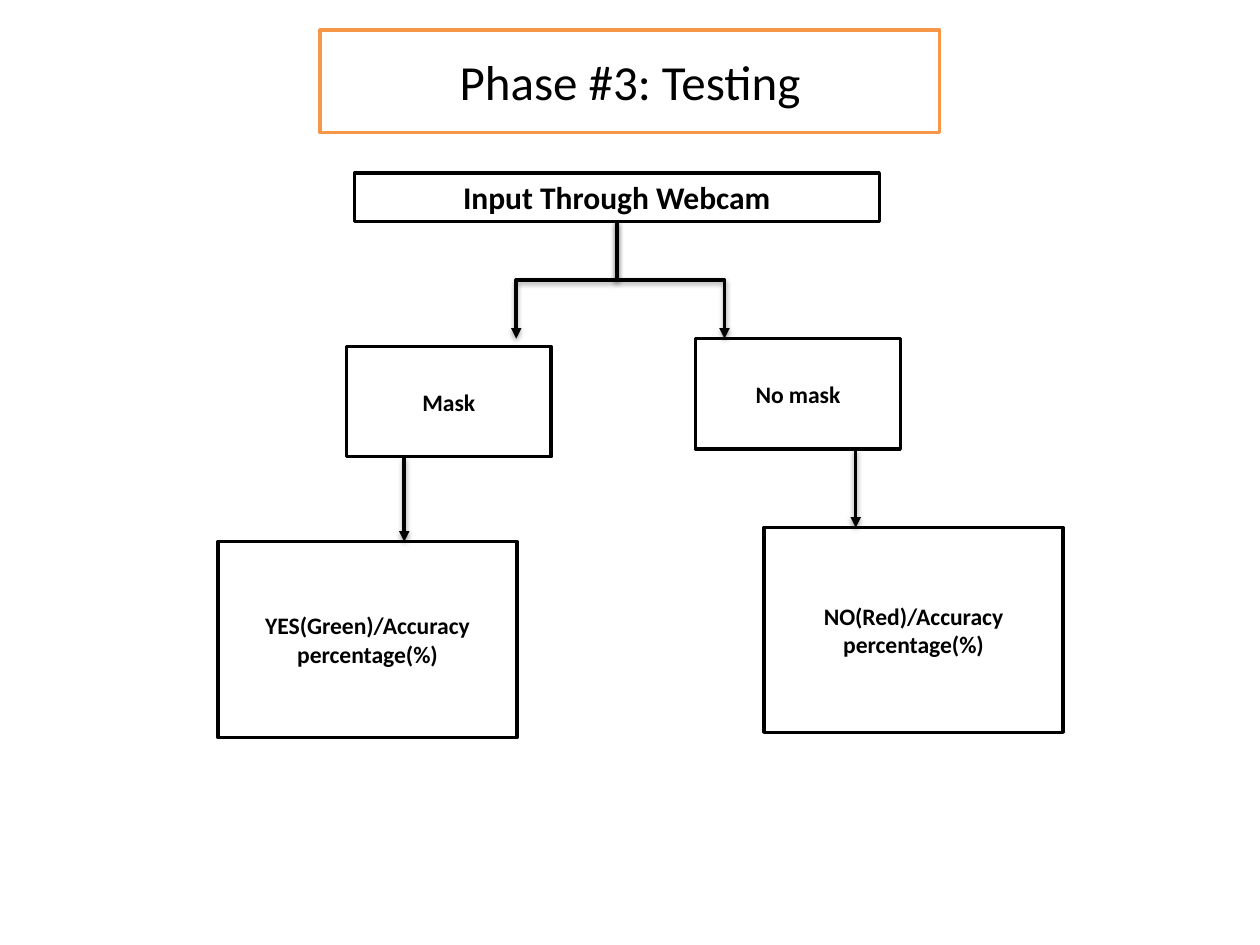
from pptx import Presentation
from pptx.dml.color import RGBColor
from pptx.enum import shapes, text
from pptx.oxml import parse_xml
from pptx.oxml.ns import nsdecls
from pptx.util import Pt

BLACK = RGBColor(0x00, 0x00, 0x00)
WHITE = RGBColor(0xFF, 0xFF, 0xFF)
ORANGE = RGBColor(0xF7, 0x96, 0x46)
FONT = "Calibri"
LINE_WIDTH = 2

TITLE = ("Phase #3: Testing", (183, 17.25, 354, 58.5))
# text, (left, top, width, height), font size, anchor
BOXES = [
    ("Input Through Webcam", (202.5, 99, 300, 27.5), 18, text.MSO_ANCHOR.TOP),
    ("Mask", (198, 198, 117, 63), 13.5, text.MSO_ANCHOR.MIDDLE),
    ("No mask", (397.5, 193.5, 117, 63), 13.5, text.MSO_ANCHOR.MIDDLE),
    ("YES(Green)/Accuracy percentage(%)", (124.5, 309.5, 171, 112), 13.5,
     text.MSO_ANCHOR.MIDDLE),
    ("NO(Red)/Accuracy percentage(%)", (436.5, 301.5, 171, 117), 13.5,
     text.MSO_ANCHOR.MIDDLE),
]
BOX_MARGINS = {"margin_left": 5.25, "margin_right": 5.25,
               "margin_top": 2.75, "margin_bottom": 2.75}
BRANCHES = [((352.5, 126.5), (295, 193.5)), ((352.5, 126.5), (414, 193.5))]
DROPS = [((231, 261), (231, 309.5)), ((489, 256.5), (489, 301.5))]


def place(sp, box):
    for name, value in zip(("left", "top", "width", "height"), box):
        setattr(sp, name, Pt(value))


def write(sp, words, line_color, size, bold, anchor):
    """Fill and outline a shape, then set its centred text."""
    sp.fill.solid()
    sp.fill.fore_color.rgb = WHITE
    sp.line.color.rgb = line_color
    sp.line.width = Pt(LINE_WIDTH)
    tf = sp.text_frame
    tf.word_wrap = True
    tf.auto_size = text.MSO_AUTO_SIZE.NONE
    tf.vertical_anchor = anchor
    p = tf.paragraphs[0]
    p.alignment = text.PP_ALIGN.CENTER
    r = p.add_run()
    r.text = words
    for name, value in {"name": FONT, "size": Pt(size), "bold": bold}.items():
        setattr(r.font, name, value)
    r.font.color.rgb = BLACK


def add_arrow(s, kind, start, end):
    """Add an arrow that keeps the soft shadow of the theme."""
    arrow = s.shapes.add_connector(kind, *map(Pt, start + end))
    arrow.line.color.rgb = BLACK
    arrow.line.width = Pt(LINE_WIDTH)
    arrow.line._get_or_add_ln().append(
        parse_xml(f'<a:tailEnd {nsdecls("a")} type="triangle"/>'))
    return arrow


def add_branch(s, start, end):
    """Add an elbow arrow that leaves and arrives vertically."""
    arrow = add_arrow(s, shapes.MSO_CONNECTOR.ELBOW, start, end)
    (x1, y1), (x2, y2) = start, end
    run, drop = abs(x2 - x1), y2 - y1
    # The frame is turned a quarter about its centre, so its sides swap.
    place(arrow, ((x1 + x2 - drop) / 2, (y1 + y2 - run) / 2, drop, run))
    xfrm = arrow._element.spPr.xfrm
    xfrm.flipH = x2 > x1
    xfrm.set("rot", str((270 if x2 > x1 else 90) * 60000))


def main():
    prs = Presentation()
    prs.slide_width, prs.slide_height = Pt(720), Pt(540)
    s = prs.slides.add_slide(prs.slide_layouts[5])

    words, box = TITLE
    place(s.shapes.title, box)
    write(s.shapes.title, words, ORANGE, 28, False, text.MSO_ANCHOR.MIDDLE)

    for words, box, size, anchor in BOXES:
        sp = s.shapes.add_shape(shapes.MSO_SHAPE.RECTANGLE, *map(Pt, box))
        sp.shadow.inherit = False
        write(sp, words, BLACK, size, True, anchor)
        for name, value in BOX_MARGINS.items():
            setattr(sp.text_frame, name, Pt(value))

    for start, end in BRANCHES:
        add_branch(s, start, end)
    for start, end in DROPS:
        add_arrow(s, shapes.MSO_CONNECTOR.STRAIGHT, start, end)

    prs.save("out.pptx")


if __name__ == "__main__":
    main()
